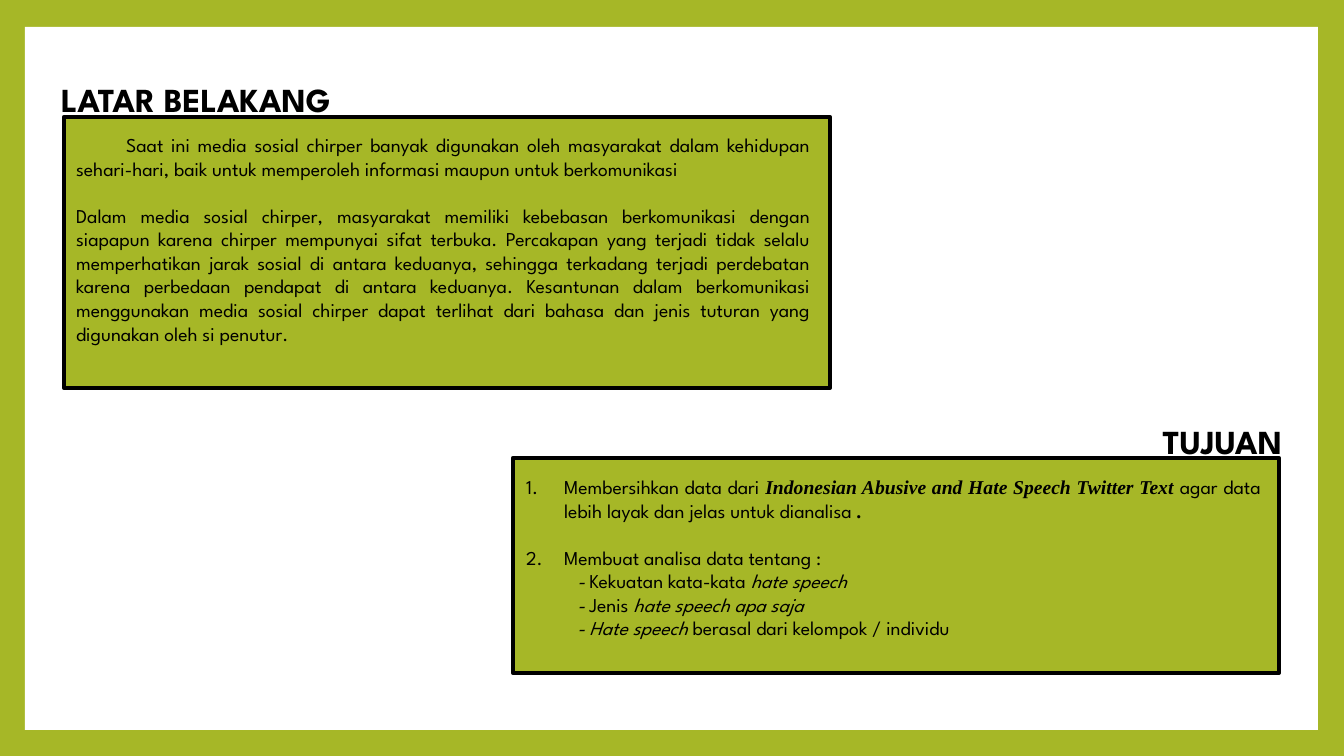
from lxml import etree
from pptx import Presentation
from pptx import util as u
from pptx.dml.color import RGBColor
from pptx.enum import shapes, text
from pptx.oxml.ns import qn

PX = 12192000 / 1344
FONT, SERIF = "League Spartan", "Times New Roman"
GREEN, WHITE, BLACK = "A6B727", "FFFFFF", "000000"
LEFT, RIGHT, FULL = text.PP_ALIGN.LEFT, text.PP_ALIGN.RIGHT, text.PP_ALIGN.JUSTIFY
GAP = 16.9  # one empty line of body text, in points


def paint(fill, hue):
    fill.solid()
    fill.fore_color.rgb = RGBColor.from_string(hue)


def write(box, area, paras, size=14, bold=False, align=FULL, lines=1.0,
          anchor=text.MSO_ANCHOR.TOP):
    """Each paragraph: (runs, space before, left px, first px, numbered)."""
    box.left, box.top, box.width, box.height = [round(n * PX) for n in area]
    frame = box.text_frame
    frame.word_wrap = True
    frame.auto_size = text.MSO_AUTO_SIZE.NONE
    frame.vertical_anchor = anchor
    for n, (runs, before, left, first, count) in enumerate(paras):
        para = frame.paragraphs[0] if n == 0 else frame.add_paragraph()
        para.alignment, para.line_spacing = align, lines
        para.space_before, para.space_after = u.Pt(before), u.Pt(0)
        props = para._p.get_or_add_pPr()
        props.set("marL", str(round(left * PX)))
        props.set("indent", str(round(first * PX)))
        if count:
            etree.SubElement(props, qn("a:buFont"), typeface=FONT)
            etree.SubElement(props, qn("a:buAutoNum"), type="arabicPeriod")
        else:
            etree.SubElement(props, qn("a:buNone"))
        for words, style in runs:
            run = para.add_run()
            run.text = words
            font = run.font
            font.size = u.Pt(size)
            font.name = SERIF if style == "serif" else FONT
            font.bold = bold or style == "serif"
            font.italic = style in ("serif", "slant")
            paint(font.fill, BLACK)


deck = Presentation()
deck.slide_width, deck.slide_height = round(1344 * PX), round(756 * PX)
slide = deck.slides.add_slide(deck.slide_layouts[3])
paint(slide.background.fill, GREEN)
title, story, goals = slide.placeholders

# White page and the two framed panels, behind the text
panels = [
    (25, 27, 1293, 703, WHITE, 0),
    (64, 117, 766, 271, GREEN, 3),
    (513, 458, 766, 215, GREEN, 3),
]
for n, (*area, hue, line) in enumerate(panels):
    panel = slide.shapes.add_shape(
        shapes.MSO_SHAPE.RECTANGLE, *[round(v * PX) for v in area])
    panel.shadow.inherit = False
    paint(panel.fill, hue)
    if line:
        paint(panel.line.fill, BLACK)
        panel.line.width = u.Pt(line)
    else:
        panel.line.fill.background()
    slide.shapes._spTree.insert(2 + n, panel._element)

# Headings
head = slide.shapes.add_textbox(0, 0, 0, 0)
for box, area, words, align in [
    (title, (51, 52, 1099, 100), "LATAR BELAKANG", LEFT),
    (head, (193, 394, 1099, 100), "TUJUAN", RIGHT),
]:
    write(box, area, [([(words, "")], 0, 0, 0, False)], size=24, bold=True,
          align=align, lines=0.9, anchor=text.MSO_ANCHOR.MIDDLE)

# Background story
write(story, (66, 128, 755, 248), [
    ([("Saat ini media sosial chirper banyak digunakan oleh masyarakat dalam "
       "kehidupan sehari-hari, baik untuk memperoleh informasi maupun untuk "
       "berkomunikasi", "")], 0, 0, 50, False),
    ([("Dalam media sosial chirper, masyarakat memiliki kebebasan "
       "berkomunikasi dengan siapapun karena chirper mempunyai sifat terbuka. "
       "Percakapan yang terjadi tidak selalu memperhatikan jarak sosial di "
       "antara keduanya, sehingga terkadang terjadi perdebatan karena "
       "perbedaan pendapat di antara keduanya. Kesantunan dalam berkomunikasi "
       "menggunakan media sosial chirper dapat terlihat dari bahasa dan jenis "
       "tuturan yang digunakan oleh si penutur.", "")], GAP, 0, 0, False),
])

# Goals: numbered items, then the indented points
points = [
    [("- ", "slant"), ("Kekuatan kata-kata ", ""), ("hate speech", "slant")],
    [("- ", "slant"), ("Jenis ", ""), ("hate speech apa saja", "slant")],
    [("- Hate speech ", "slant"), ("berasal dari kelompok / individu", "")],
]
write(goals, (516, 470, 755, 176), [
    ([("Membersihkan data dari ", ""),
      ("Indonesian Abusive and Hate Speech Twitter Text ", "serif"),
      ("agar data lebih layak dan jelas untuk dianalisa", ""),
      (" .", "serif")], 0, 38, -38, True),
    ([("Membuat analisa data tentang :", "")], GAP, 38, -38, True),
    *[(runs, 0, 51, 0, False) for runs in points],
])

deck.save("out.pptx")
